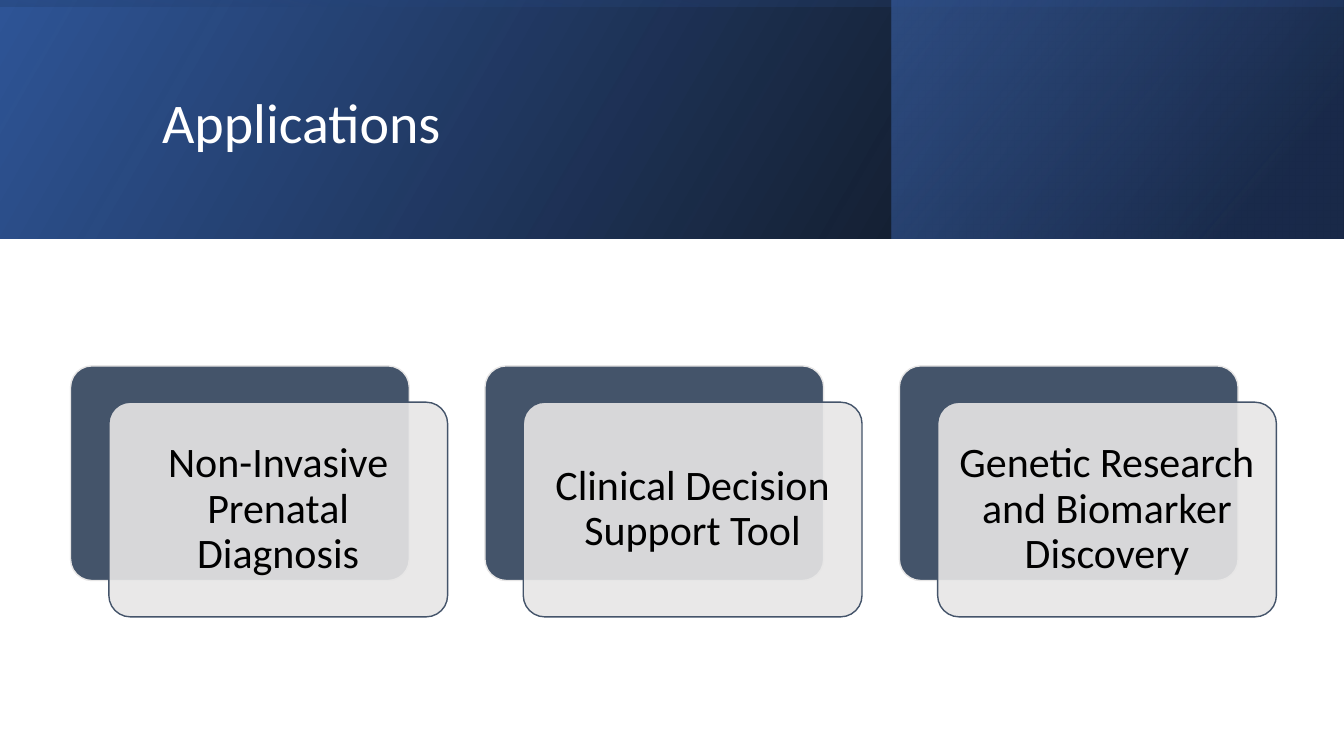
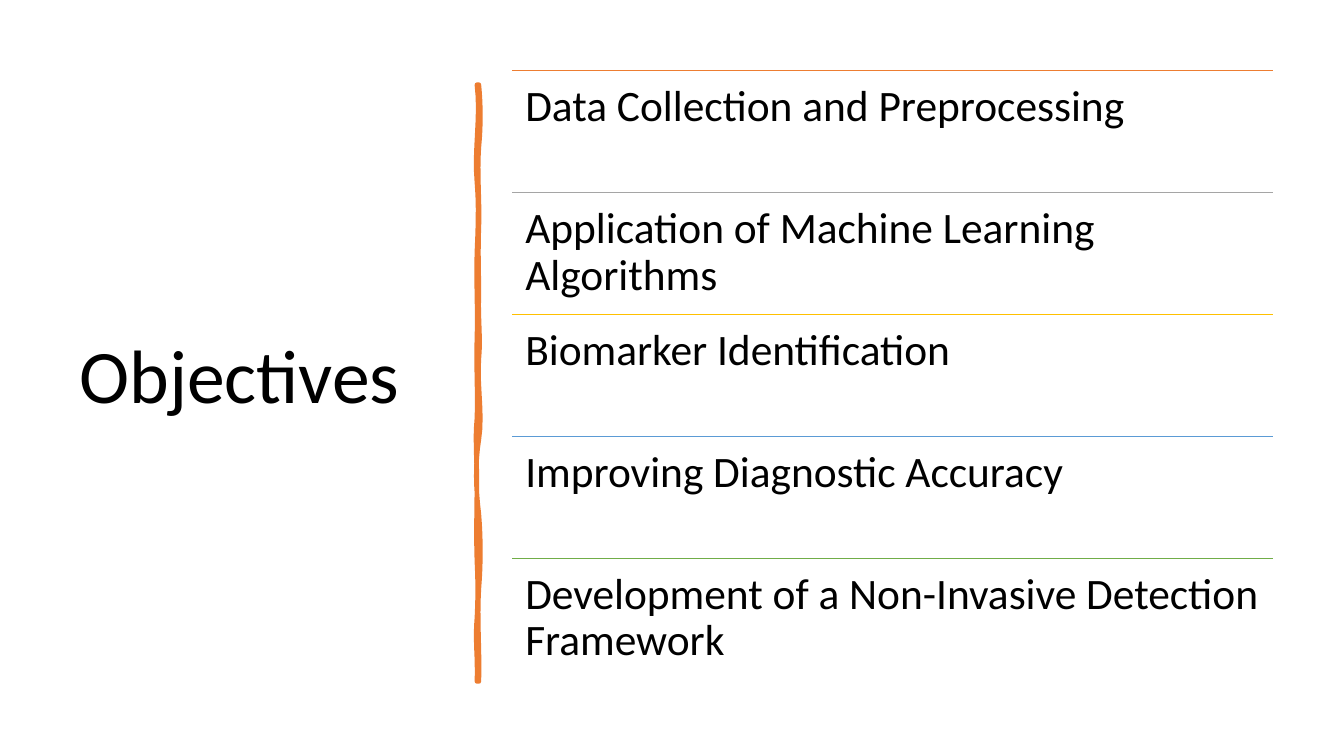
from dataclasses import dataclass

from lxml import etree
from pptx import Presentation
from pptx.dml.color import RGBColor
from pptx.enum.shapes import MSO_CONNECTOR as Connector, MSO_SHAPE as Shape
from pptx.enum.text import MSO_ANCHOR as Anchor, PP_ALIGN as Align
from pptx.oxml.ns import qn
from pptx.util import Inches, Pt


@dataclass(frozen=True)
class Theme:
    font: str = "Calibri"
    black: str = "000000"
    white: str = "FFFFFF"
    slate: str = "44546A"
    pale: str = "E7E6E6"
    navy: str = "203864"
    blue: str = "2F5597"
    bright: str = "4472C4"
    orange: str = "ED7D31"
    rules: tuple = ("ED7D31", "A5A5A5", "FFC000", "5B9BD5", "70AD47")
    band_title: int = 40
    side_title: int = 54
    card_text: int = 30
    list_text: int = 31
    hairline: float = 1
    brush: float = 3.25


def set_values(target, values):
    for name, value in values.items():
        setattr(target, name, value)


def set_alpha(color_parent, percent):
    color = next(color_parent.iter(qn("a:srgbClr")))
    etree.SubElement(color, qn("a:alpha")).set("val", str(percent * 1000))


class SlideBuilder:
    """Holds the deck, its theme and the current page."""

    def __init__(self, theme):
        self.theme = theme
        self.deck = Presentation()
        set_values(self.deck, {"slide_width": Inches(13.33), "slide_height": Inches(7.5)})
        self.page = None

    def new_page(self):
        self.page = self.deck.slides.add_slide(self.deck.slide_layouts[6])

    def shape(self, kind, area):
        box = self.page.shapes.add_shape(kind, *map(Inches, area))
        box.shadow.inherit = False
        return box

    def paint(self, box, fill, line, width):
        box.fill.solid()
        box.fill.fore_color.rgb = RGBColor.from_string(fill)
        box.line.color.rgb = RGBColor.from_string(line)
        box.line.width = Pt(width)

    def gradient(self, area, stops, angle, rotation=0):
        """Add a mirrored rectangle; stops are (position, colour, opacity)."""
        box = self.shape(Shape.RECTANGLE, area)
        box.rotation = rotation
        box.element.spPr.get_or_add_xfrm().set("flipH", "1")
        box.line.fill.background()
        box.fill.gradient()
        box.fill.gradient_angle = 360 - angle
        stop_elements = box.element.spPr.iter(qn("a:gs"))
        for stop, element, values in zip(box.fill.gradient_stops, stop_elements, stops):
            position, color, opacity = values
            stop.color.rgb = RGBColor.from_string(color)
            stop.position = position / 100
            if opacity < 100:
                set_alpha(element, opacity)

    def fill_text(self, box, text, size, color, anchor=Anchor.MIDDLE,
                  align=Align.LEFT, insets=(0.1, 0.05)):
        across, down = map(Inches, insets)
        set_values(box.text_frame, {
            "word_wrap": True, "vertical_anchor": anchor,
            "margin_left": across, "margin_right": across,
            "margin_top": down, "margin_bottom": down})
        para = box.text_frame.paragraphs[0]
        set_values(para, {"alignment": align, "line_spacing": 0.9})
        span = para.add_run()
        span.text = text
        set_values(span.font, {"name": self.theme.font, "size": Pt(size)})
        span.font.color.rgb = RGBColor.from_string(color)

    def text(self, area, text, size, color, **layout):
        box = self.page.shapes.add_textbox(*map(Inches, area))
        self.fill_text(box, text, size, color, **layout)

    def card(self, left, top, text):
        """Add a dark card with a translucent, captioned card over it."""
        theme = self.theme
        width, height = 3.36, 2.13
        back = self.shape(Shape.ROUNDED_RECTANGLE, (left, top, width, height))
        front = self.shape(Shape.ROUNDED_RECTANGLE, (left + 0.38, top + 0.36, width, height))
        self.paint(back, theme.slate, theme.pale, theme.hairline)
        self.paint(front, theme.pale, theme.slate, theme.hairline)
        for box in (back, front):
            box.adjustments[0] = 0.1
        set_alpha(front.element.spPr.find(qn("a:solidFill")), 90)
        self.fill_text(front, text, theme.card_text, theme.black,
                       align=Align.CENTER, insets=(0.12, 0.12))

    def rule(self, left, top, width, color):
        ends = map(Inches, (left, top, left + width, top))
        line = self.page.shapes.add_connector(Connector.STRAIGHT, *ends)
        line.line.color.rgb = RGBColor.from_string(color)
        line.line.width = Pt(self.theme.hairline)
        etree.SubElement(line.element.spPr, qn("a:effectLst"))

    def brush_stroke(self, edges):
        """Close a wavy outline; an edge is (x, start y, [(bend, bend, end y)])."""
        points = []
        for x, start, waves in edges:
            points.append((x, start))
            for first, second, end in waves:
                for step in range(1, 9):
                    t = step / 8
                    bend = 3 * t * (1 - t) * ((1 - t) * first + t * second)
                    points.append((x + bend, start + t * (end - start)))
                start = end
        points = [(Inches(x), Inches(y)) for x, y in points]
        builder = self.page.shapes.build_freeform(*points[0])
        builder.add_line_segments(points[1:], close=True)
        stroke = builder.convert_to_shape()
        stroke.shadow.inherit = False
        self.paint(stroke, self.theme.orange, self.theme.orange, self.theme.brush)
        etree.SubElement(stroke.element.spPr.find(qn("a:ln")), qn("a:round"))


def applications(builder):
    theme = builder.theme
    builder.new_page()
    # Layered header band
    width, height = 13.33, 2.37
    builder.gradient((0, 0, width, height),
                     [(0, theme.black, 96), (100, theme.blue, 100)], 330)
    builder.gradient((8.84, 0, 4.48, height),
                     [(19, theme.navy, 68), (100, theme.bright, 48)], 320)
    shift = (width - height) / 2
    builder.gradient((shift, -shift, height, width),
                     [(23, theme.blue, 16), (99, theme.black, 45)], 350, rotation=270)
    builder.text((1.51, 0.38, 10.63, 1.72), "Applications", theme.band_title, theme.white)
    # Row of cards
    captions = ("Non-Invasive Prenatal Diagnosis", "Clinical Decision Support Tool",
                "Genetic Research and Biomarker Discovery")
    for column, caption in enumerate(captions):
        builder.card(0.7 + 4.11 * column, 3.63, caption)


def objectives(builder):
    theme = builder.theme
    builder.new_page()
    builder.text((0.69, 0.7, 3.74, 6.11), "Objectives", theme.side_title, theme.black)
    # Hand-drawn divider: right edge down, left edge up
    top, bottom = 0.84, 6.76
    right = [(0.02, 0.02, 1.46), (-0.02, 0.01, 2.26), (-0.01, 0, 2.94), (-0.01, 0.02, 3.56),
             (-0.02, 0.04, 4.36), (-0.04, -0.03, 5.1), (0.02, 0.02, 5.84), (-0.02, 0.01, bottom)]
    left = [(0.01, -0.02, 6.13), (0.01, 0.01, 5.57), (-0.01, 0, 4.77), (0, -0.02, 4.15),
            (0.01, -0.01, 3.35), (0.01, -0.01, 2.5), (0.01, 0.02, 1.81), (-0.03, 0.04, top)]
    builder.brush_stroke([(4.75, top, right), (4.73, bottom, left)])
    # Ruled list
    goals = ("Data Collection and Preprocessing", "Application of Machine Learning Algorithms",
             "Biomarker Identification", "Improving Diagnostic Accuracy",
             "Development of a Non-Invasive Detection Framework")
    start, width, pitch = 5.08, 7.55, 1.21
    for row, (goal, color) in enumerate(zip(goals, theme.rules)):
        line_top = 0.7 + pitch * row
        builder.rule(start, line_top, width, color)
        builder.text((start, line_top, width, pitch), goal, theme.list_text, theme.black,
                     anchor=Anchor.TOP, insets=(0.13, 0.13))


def main():
    builder = SlideBuilder(Theme())
    applications(builder)
    objectives(builder)
    builder.deck.save("out.pptx")


if __name__ == "__main__":
    main()
